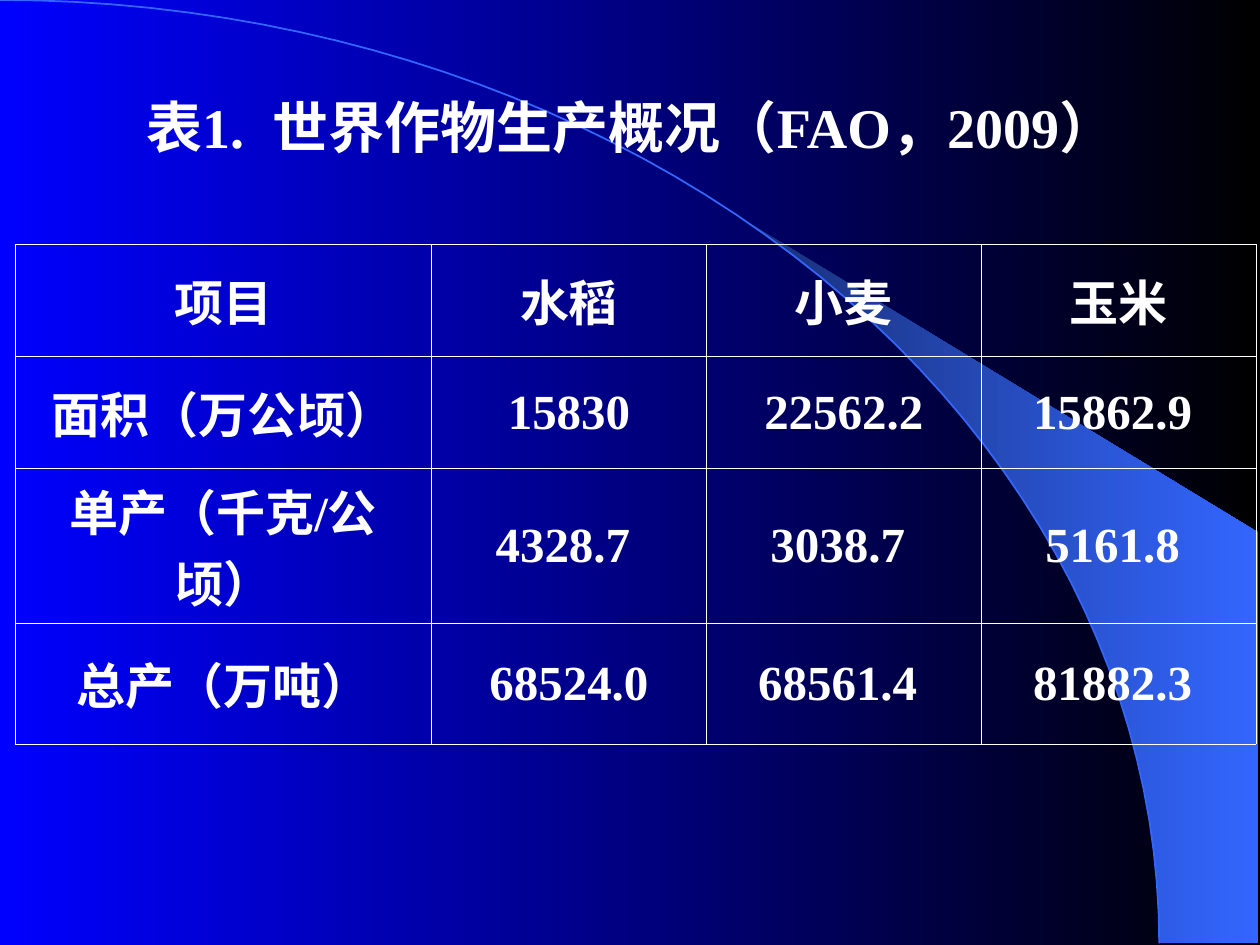
"""Build a slide with a table of world crop production."""
from math import cos, pi, sin

from lxml import etree
from pptx import Presentation
from pptx.dml.color import RGBColor
from pptx.enum.text import MSO_ANCHOR, MSO_AUTO_SIZE, PP_ALIGN
from pptx.oxml.ns import qn
from pptx.util import Cm, Pt

CENTER = PP_ALIGN.CENTER
TOP, MIDDLE = MSO_ANCHOR.TOP, MSO_ANCHOR.MIDDLE
GROW = MSO_AUTO_SIZE.SHAPE_TO_FIT_TEXT
FONT = "Times New Roman"
COLORS = {
    "blue": "0000FF",
    "black": "000000",
    "white": "FFFFFF",
    "arc": "3366FF",
    "shade": "182F76",
}
ARC_WIDTH, ARC_HEIGHT = 23.37, 19.02
ROWS = [
    ["项目", "水稻", "小麦", "玉米"],
    ["面积（万公顷）", "15830", "22562.2", "15862.9 "],
    ["单产（千克/公顷）", "4328.7 ", "3038.7 ", "5161.8 "],
    ["总产（万吨）", "68524.0", "68561.4 ", "81882.3 "],
]


def arc_points(start, steps=48):
    """Return points in cm on the quarter ellipse from angle start to its end."""
    angles = [start + (pi / 2 - start) * i / steps for i in range(steps + 1)]
    return [(ARC_WIDTH * sin(a), ARC_HEIGHT * (1 - cos(a))) for a in angles]


class Deck:
    """Hold the style and the current slide."""

    def __init__(self, prs):
        self.s = prs.slides.add_slide(prs.slide_layouts[5])

    def color(self, name):
        return RGBColor.from_string(COLORS[name])

    def gradient(self, fill, *names):
        fill.gradient()
        fill.gradient_angle = 0
        for stop, name in zip(fill.gradient_stops, names):
            stop.color.rgb = self.color(name)

    def background(self, *names):
        self.gradient(self.s.background.fill, *names)

    def outline(self, points, close):
        pts = [(Cm(x), Cm(y)) for x, y in points]
        builder = self.s.shapes.build_freeform(*pts[0], scale=1.0)
        builder.add_line_segments(pts[1:], close=close)
        sp = builder.convert_to_shape()
        sp.shadow.inherit = False
        return sp

    def crescent(self, points):
        sp = self.outline(points, True)
        self.gradient(sp.fill, "shade", "arc")
        sp.line.fill.background()

    def arc(self, points):
        sp = self.outline(points, False)
        sp.fill.background()
        sp.line.color.rgb = self.color("arc")
        sp.line.width = Pt(1)

    def text(self, tf, text, size):
        p = tf.paragraphs[0]
        p.alignment = CENTER
        r = p.add_run()
        r.text = text
        r.font.name = FONT
        r.font.size = Pt(size)
        r.font.bold = True
        r.font.color.rgb = self.color("white")

    def title(self, text, left, top, width, height):
        sp = self.s.shapes.title
        sp.left, sp.top = Cm(left), Cm(top)
        sp.width, sp.height = Cm(width), Cm(height)
        tf = sp.text_frame
        tf.word_wrap = True
        tf.auto_size = GROW
        tf.vertical_anchor = TOP
        self.text(tf, text, 32)
        sp.element.getparent().append(sp.element)

    def borders(self, cell):
        tc_pr = cell._tc.get_or_add_tcPr()
        for side in ("lnL", "lnR", "lnT", "lnB"):
            ln = etree.SubElement(tc_pr, qn(f"a:{side}"), w=str(Pt(0.45)))
            fill = etree.SubElement(ln, qn("a:solidFill"))
            etree.SubElement(fill, qn("a:srgbClr"), val=COLORS["white"])

    def table(self, rows, left, top, widths, heights):
        frame = self.s.shapes.add_table(
            len(rows), len(widths), Cm(left), Cm(top),
            Cm(sum(widths)), Cm(sum(heights)))
        table = frame.table
        table.first_row = table.horz_banding = False
        for column, width in zip(table.columns, widths):
            column.width = Cm(width)
        for row, height, texts in zip(table.rows, heights, rows):
            row.height = Cm(height)
            for cell, text in zip(row.cells, texts):
                self.borders(cell)
                cell.fill.background()
                cell.vertical_anchor = MIDDLE
                self.text(cell.text_frame, text, 28)


def main():
    prs = Presentation()
    prs.slide_width, prs.slide_height = Cm(25.4), Cm(19.05)
    deck = Deck(prs)
    deck.background("blue", "black")
    deck.crescent(arc_points(0.695) + [(25.37, ARC_HEIGHT), (25.37, 10.74)])
    deck.arc(arc_points(0))
    deck.table(ROWS, 0.3, 4.93, [8.4] + [5.54] * 3, [2.26, 2.26, 2.64, 2.44])
    deck.title("表1.  世界作物生产概况（FAO，2009）", 2.11, 1.73, 21.21, 2.97)
    prs.save("out.pptx")


if __name__ == "__main__":
    main()
